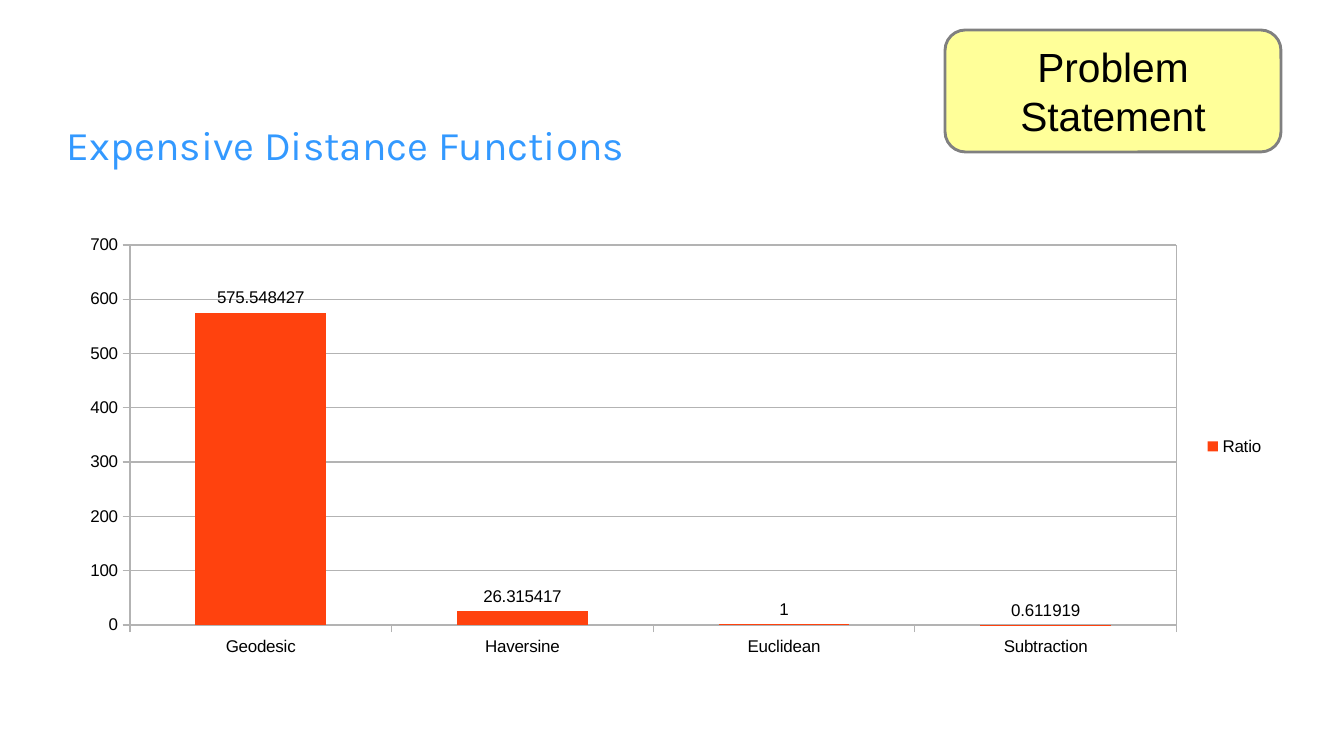
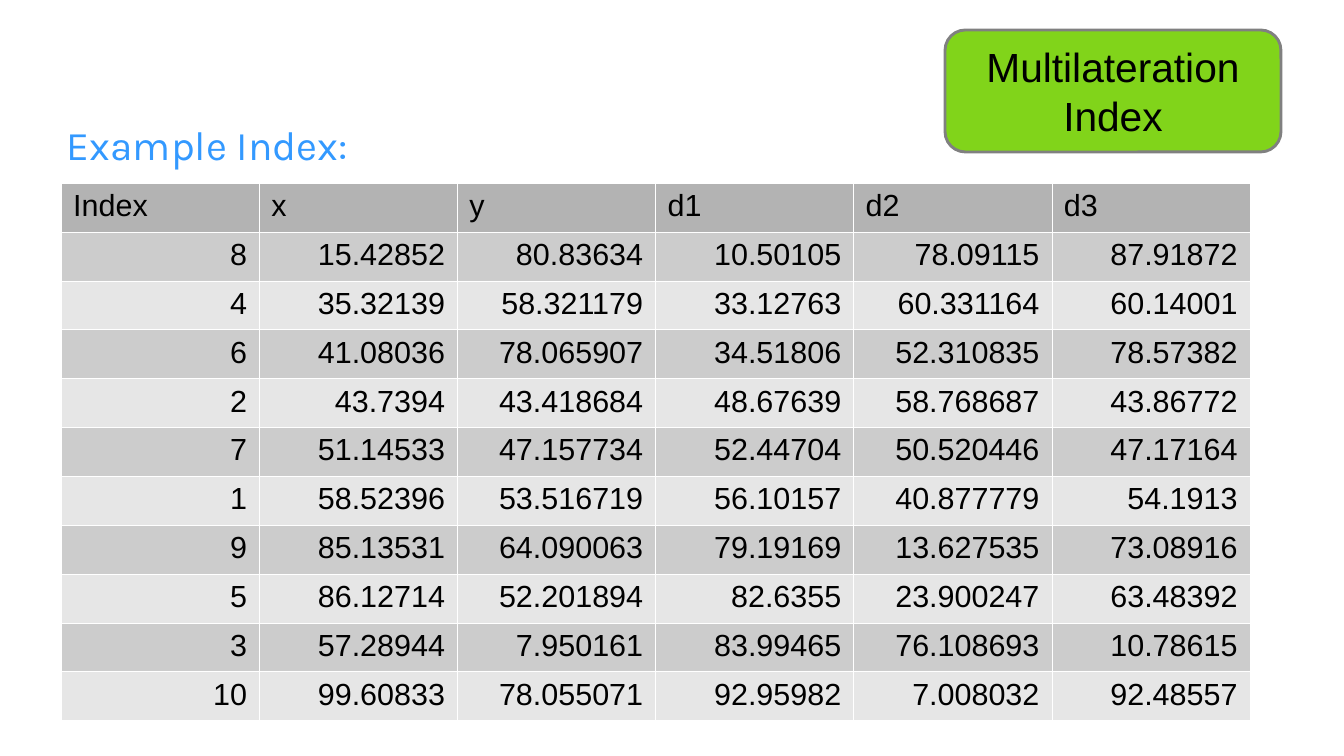
from lxml import etree
from pptx import Presentation
from pptx import util as u
from pptx.chart.data import CategoryChartData
from pptx.dml.color import RGBColor
from pptx.enum import chart as charts, shapes, text
from pptx.oxml import parse_xml
from pptx.oxml.ns import nsdecls, qn

PX = u.Inches(1) / 122
COLORS = {
    "title": "3399FF",
    "text": "000000",
    "badge_line": "808080",
    "problem": "FFFF99",
    "index": "81D41A",
    "bar": "FF420E",
    "axis": "B3B3B3",
    "header": "B3B3B3",
    "odd_row": "CCCCCC",
    "even_row": "E6E6E6",
    "border": "FFFFFF",
}
BODY_FONT, TITLE_FONT = "Arial", "Karla"

RATIOS = {"Geodesic": 575.548427, "Haversine": 26.315417,
          "Euclidean": 1, "Subtraction": 0.611919}
INDEX_ROWS = [
    ("Index", "x", "y", "d1", "d2", "d3"),
    ("8", "15.42852", "80.83634", "10.50105", "78.09115", "87.91872"),
    ("4", "35.32139", "58.321179", "33.12763", "60.331164", "60.14001"),
    ("6", "41.08036", "78.065907", "34.51806", "52.310835", "78.57382"),
    ("2", "43.7394", "43.418684", "48.67639", "58.768687", "43.86772"),
    ("7", "51.14533", "47.157734", "52.44704", "50.520446", "47.17164"),
    ("1", "58.52396", "53.516719", "56.10157", "40.877779", "54.1913"),
    ("9", "85.13531", "64.090063", "79.19169", "13.627535", "73.08916"),
    ("5", "86.12714", "52.201894", "82.6355", "23.900247", "63.48392"),
    ("3", "57.28944", "7.950161", "83.99465", "76.108693", "10.78615"),
    ("10", "99.60833", "78.055071", "92.95982", "7.008032", "92.48557"),
]


def px(*lengths):
    return [u.Emu(round(length * PX)) for length in lengths]


def color(name):
    return RGBColor.from_string(COLORS[name])


def set_font(font, size, name=BODY_FONT, color_name="text"):
    font.size, font.name = u.Pt(size), name
    font.color.rgb = color(color_name)


# Parts shared by both slides
def add_title(slide, title):
    frame = slide.shapes.add_textbox(*px(67, 81, 1210, 127)).text_frame
    frame.word_wrap = True
    frame.vertical_anchor = text.MSO_ANCHOR.MIDDLE
    frame.margin_left = frame.margin_right = 0
    frame.margin_top = frame.margin_bottom = 0
    frame.text = title
    set_font(frame.paragraphs[0].font, 24, TITLE_FONT, "title")


def add_badge(slide, label, fill):
    badge = slide.shapes.add_shape(
        shapes.MSO_SHAPE.ROUNDED_RECTANGLE, *px(945, 30, 336, 122))
    badge.shadow.inherit = False
    badge.fill.solid()
    badge.fill.fore_color.rgb = color(fill)
    badge.line.color.rgb = color("badge_line")
    badge.line.width = u.Pt(1.7)
    frame = badge.text_frame
    frame.word_wrap = False
    frame.vertical_anchor = text.MSO_ANCHOR.MIDDLE
    frame.text = label
    for paragraph in frame.paragraphs:
        paragraph.alignment = text.PP_ALIGN.CENTER
        set_font(paragraph.font, 24)


# Column chart
def style_axis_line(line):
    line.color.rgb = color("axis")
    line.width = u.Pt(0)


def frame_plot(plot_area):
    """Fix the inner plot rectangle and outline it."""
    for layout in plot_area.findall(qn("c:layout")):
        plot_area.remove(layout)
    edges = "".join(f'<c:{tag} val="{value}"/>' for tag, value in (
        ("layoutTarget", "inner"), ("xMode", "edge"), ("yMode", "edge"),
        ("x", 0.052), ("y", 0.041), ("w", 0.865), ("h", 0.866)))
    plot_area.insert(0, parse_xml(
        f'<c:layout {nsdecls("c")}><c:manualLayout>{edges}'
        '</c:manualLayout></c:layout>'))
    plot_area.append(parse_xml(
        f'<c:spPr {nsdecls("c", "a")}><a:noFill/><a:ln w="0"><a:solidFill>'
        f'<a:srgbClr val="{COLORS["axis"]}"/></a:solidFill></a:ln></c:spPr>'))


def add_column_chart(slide, series_name, values):
    data = CategoryChartData()
    data.categories = list(values)
    data.add_series(series_name, list(values.values()))
    chart = slide.shapes.add_chart(
        charts.XL_CHART_TYPE.COLUMN_CLUSTERED,
        *px(67, 227, 1210, 439), data).chart
    set_font(chart.font, 10)
    chart.has_title = False
    chart.has_legend = True
    chart.legend.position = charts.XL_LEGEND_POSITION.RIGHT
    chart.legend.include_in_layout = False
    set_font(chart.legend.font, 10)

    for axis in (chart.category_axis, chart.value_axis):
        axis.major_tick_mark = charts.XL_TICK_MARK.OUTSIDE
        axis.minor_tick_mark = charts.XL_TICK_MARK.NONE
        set_font(axis.tick_labels.font, 10)
        style_axis_line(axis.format.line)
    values_axis = chart.value_axis
    values_axis.minimum_scale, values_axis.maximum_scale = 0, 700
    values_axis.major_unit = 100
    style_axis_line(values_axis.major_gridlines.format.line)

    plot = chart.plots[0]
    plot.gap_width = 100
    plot.vary_by_categories = False
    bars = plot.series[0]
    bars.format.fill.solid()
    bars.format.fill.fore_color.rgb = color("bar")
    labels = bars.data_labels
    labels.show_value = True
    labels.position = charts.XL_LABEL_POSITION.OUTSIDE_END
    set_font(labels.font, 10)
    frame_plot(chart.plots[0]._element.getparent())


# Index table
def add_borders(cell):
    properties = cell._tc.get_or_add_tcPr()
    for side in ("lnL", "lnR", "lnT", "lnB"):
        line = etree.SubElement(properties, qn(f"a:{side}"), w="762")
        fill = etree.SubElement(line, qn("a:solidFill"))
        etree.SubElement(fill, qn("a:srgbClr"), val=COLORS["border"])


def add_index_table(slide, rows):
    table = slide.shapes.add_table(
        len(rows), len(rows[0]), *px(61, 183, 1189, 537)).table
    table.first_row = table.horz_banding = False
    for row_number, row in enumerate(rows):
        is_header = row_number == 0
        fill = ("header" if is_header
                else "odd_row" if row_number % 2 else "even_row")
        for column_number, value in enumerate(row):
            cell = table.cell(row_number, column_number)
            add_borders(cell)
            cell.fill.solid()
            cell.fill.fore_color.rgb = color(fill)
            cell.text = value
            paragraph = cell.text_frame.paragraphs[0]
            paragraph.alignment = (text.PP_ALIGN.LEFT if is_header
                                   else text.PP_ALIGN.RIGHT)
            set_font(paragraph.font, 18)


def main():
    presentation = Presentation()
    presentation.slide_width, presentation.slide_height = px(1344, 756)
    blank = presentation.slide_layouts[6]

    # Cost of distance functions
    slide = presentation.slides.add_slide(blank)
    add_title(slide, "Expensive Distance Functions")
    add_column_chart(slide, "Ratio", RATIOS)
    add_badge(slide, "Problem\nStatement", "problem")

    # Example of an index
    slide = presentation.slides.add_slide(blank)
    add_title(slide, "Example Index:")
    add_badge(slide, "Multilateration\nIndex", "index")
    add_index_table(slide, INDEX_ROWS)

    presentation.save("out.pptx")


if __name__ == "__main__":
    main()
